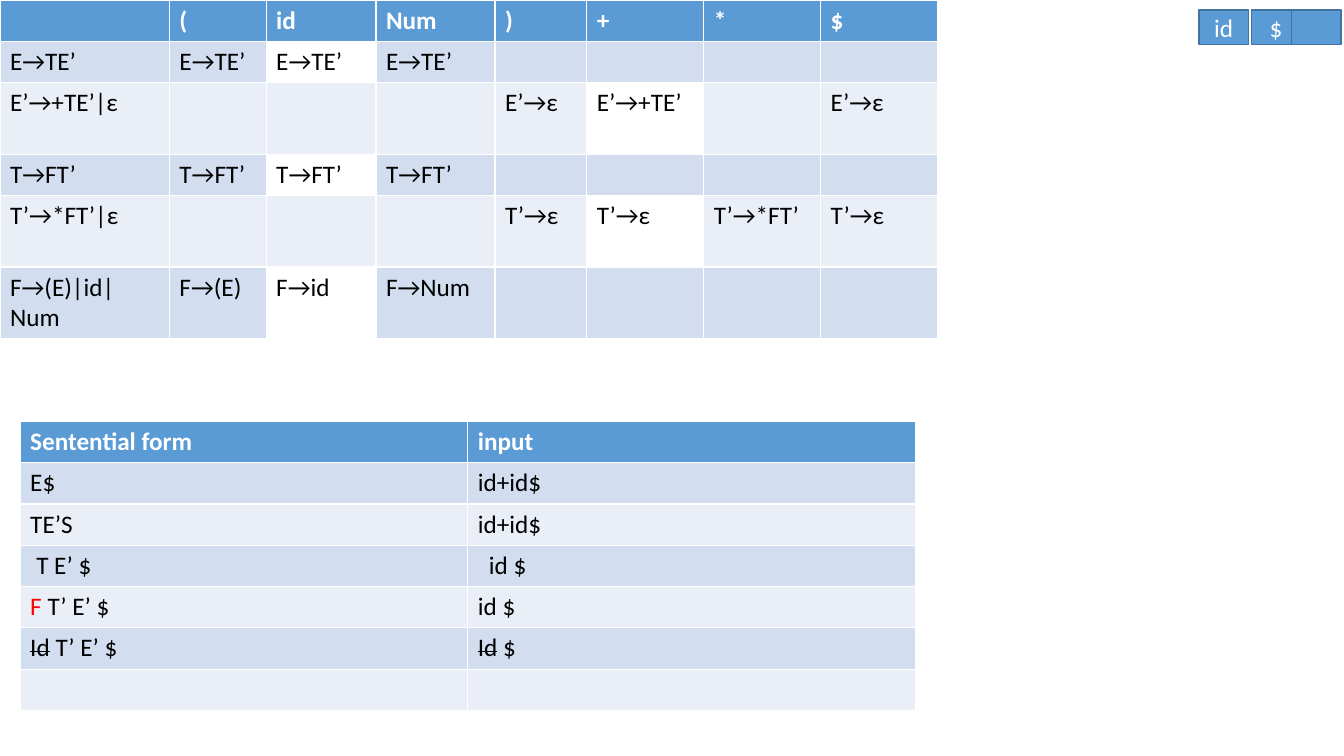
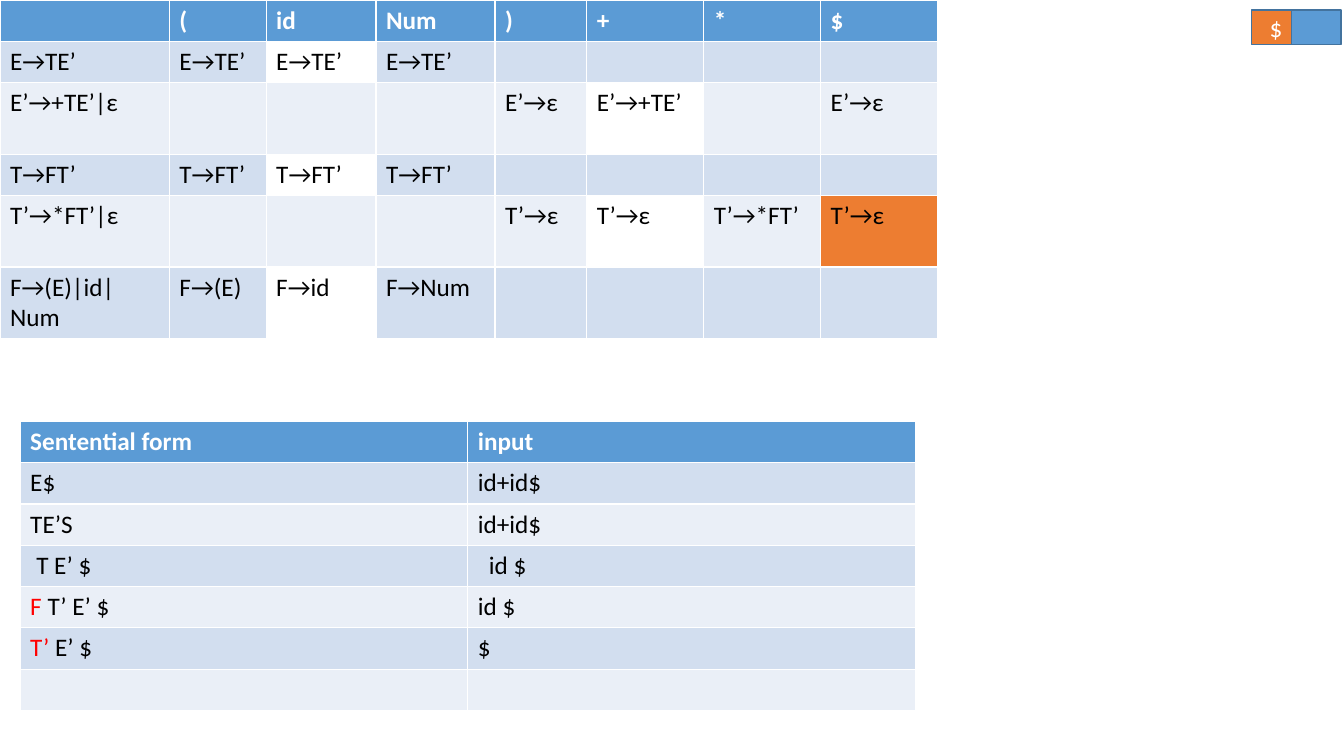
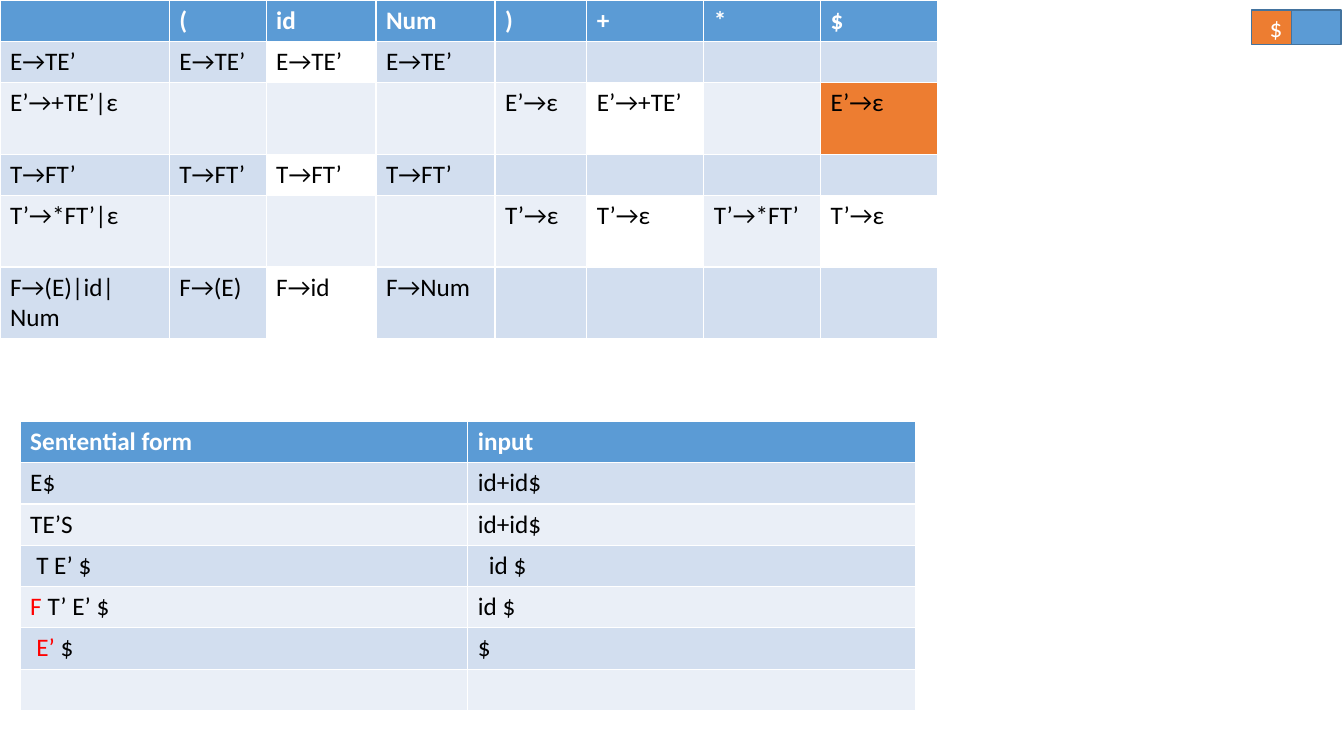
from dataclasses import dataclass

from pptx import Presentation
from pptx.dml.color import RGBColor as RGB
from pptx.enum.shapes import MSO_SHAPE as Shape
from pptx.enum.text import MSO_ANCHOR as Anchor, PP_ALIGN as Align
from pptx.util import Inches, Pt


@dataclass(frozen=True)
class Theme:
    font: str = "Calibri"
    size: int = 18
    blue: str = "5B9BD5"
    edge: str = "43739E"
    bands: tuple = ("EAEFF7", "D2DEEF")
    white: str = "FFFFFF"
    black: str = "000000"
    hot: str = "ED7D31"
    red: str = "FF0000"


T = Theme()

# Parse table: same on every slide
RULES = [
    ["", "(", "id", "Num", ")", "+", "*", "$"],
    ["E→TE’", "E→TE’", "E→TE’", "E→TE’", "", "", "", ""],
    ["E’→+TE’|ε", "", "", "", "E’→ε", "E’→+TE’", "", "E’→ε"],
    ["T→FT’", "T→FT’", "T→FT’", "T→FT’", "", "", "", ""],
    ["T’→*FT’|ε", "", "", "", "T’→ε", "T’→ε", "T’→*FT’", "T’→ε"],
    ["F→(E)|id|Num", "F→(E)", "F→id", "F→Num", "", "", "", ""],
]
COLS = [1.68, 0.96, 1.09, 1.18, 0.91, 1.16, 1.16, 1.16]
ROW, TALL = 0.41, 0.71
USED = [(1, 2), (3, 2), (5, 2), (2, 5), (4, 5)]

# Derivation: a cell is a text or a list of (text, style) runs
FORMS = [
    ["Sentential form", "input"],
    ["E$", "id+id$"],
    ["TE’S", "id+id$"],
    ["T E’ $", "id $"],
    [[("F ", "red"), ("T’ E’ $", "")], "id $"],
]
INDENT = {(3, 0): 0.06, (3, 1): 0.11}

# One entry per slide: newest row, its indent, used and current rules, input boxes
BOX = {"id": 11.89, "$": 12.41, "": 12.81}
STEPS = [
    dict(row=[[("Id", "strike"), (" T’ E’ $", "")], [("Id", "strike"), (" $", "")]],
         indent={}, used=USED, now=None, boxes=["id", "$", ""]),
    dict(row=[[("T’ ", "red"), ("E’ $", "")], "$"],
         indent={}, used=USED, now=(4, 7), boxes=["$", ""]),
    dict(row=[[("E’", "red"), (" $", "")], "$"],
         indent={(5, 0): 0.06}, used=USED + [(4, 7)], now=(2, 7), boxes=["$", ""]),
]


def paint(part, tone):
    part.fill.solid()
    part.fill.fore_color.rgb = RGB.from_string(tone)


def write(frame, text, tone, bold=False):
    para = frame.paragraphs[0]
    font = para.font
    font.name, font.size, font.bold = T.font, Pt(T.size), bold
    font.color.rgb = RGB.from_string(tone)
    for words, style in [(text, "")] if isinstance(text, str) else text:
        if not words:
            continue
        run = para.add_run()
        run.text = words
        if style == "red":
            run.font.color.rgb = RGB.from_string(T.red)
        elif style == "strike":
            run._r.get_or_add_rPr().set("strike", "sngStrike")
    return para


def grid(slide, rows, left, top, cols, highs, tones, indent):
    """Add a banded table; tones and indent hold exceptions by (row, column)."""
    table = slide.shapes.add_table(
        len(rows), len(cols), Inches(left), Inches(top),
        Inches(sum(cols)), Inches(sum(highs))).table
    for col, wide in zip(table.columns, cols):
        col.width = Inches(wide)
    for r, (row, high) in enumerate(zip(rows, highs)):
        table.rows[r].height = Inches(high)
        head = r == 0
        for c, text in enumerate(row):
            cell = table.cell(r, c)
            band = T.blue if head else T.bands[r % 2]
            paint(cell, tones.get((r, c), band))
            cell.margin_left = Inches(0.1 + indent.get((r, c), 0))
            write(cell.text_frame, text, T.white if head else T.black, head)


def box(slide, text):
    """Add one input symbol; the current one is highlighted by its tone."""
    shape = slide.shapes.add_shape(
        Shape.RECTANGLE, Inches(BOX[text]), Inches(0.1), Inches(0.49), Inches(0.34))
    shape.shadow.inherit = False
    shape.line.color.rgb = RGB.from_string(T.edge)
    shape.line.width = Pt(1)
    shape.text_frame.vertical_anchor = Anchor.MIDDLE
    write(shape.text_frame, text, T.white).alignment = Align.CENTER
    return shape


def main():
    deck = Presentation()
    deck.slide_width, deck.slide_height = Inches(13.33), Inches(7.5)
    for step in STEPS:
        slide = deck.slides.add_slide(deck.slide_layouts[6])
        tones = dict.fromkeys(step["used"], T.white)
        if step["now"]:
            tones[step["now"]] = T.hot
        grid(slide, RULES, 0, 0, COLS, [ROW, ROW, TALL] + [ROW, TALL, TALL], tones, {})
        for text in step["boxes"]:
            hot = step["now"] and text == "$"
            paint(box(slide, text), T.hot if hot else T.blue)
        rows = FORMS + [step["row"], ["", ""]]
        grid(slide, rows, 0.2, 4.18, [4.44] * 2, [ROW] * len(rows), {},
             INDENT | step["indent"])
    deck.save("out.pptx")


if __name__ == "__main__":
    main()
